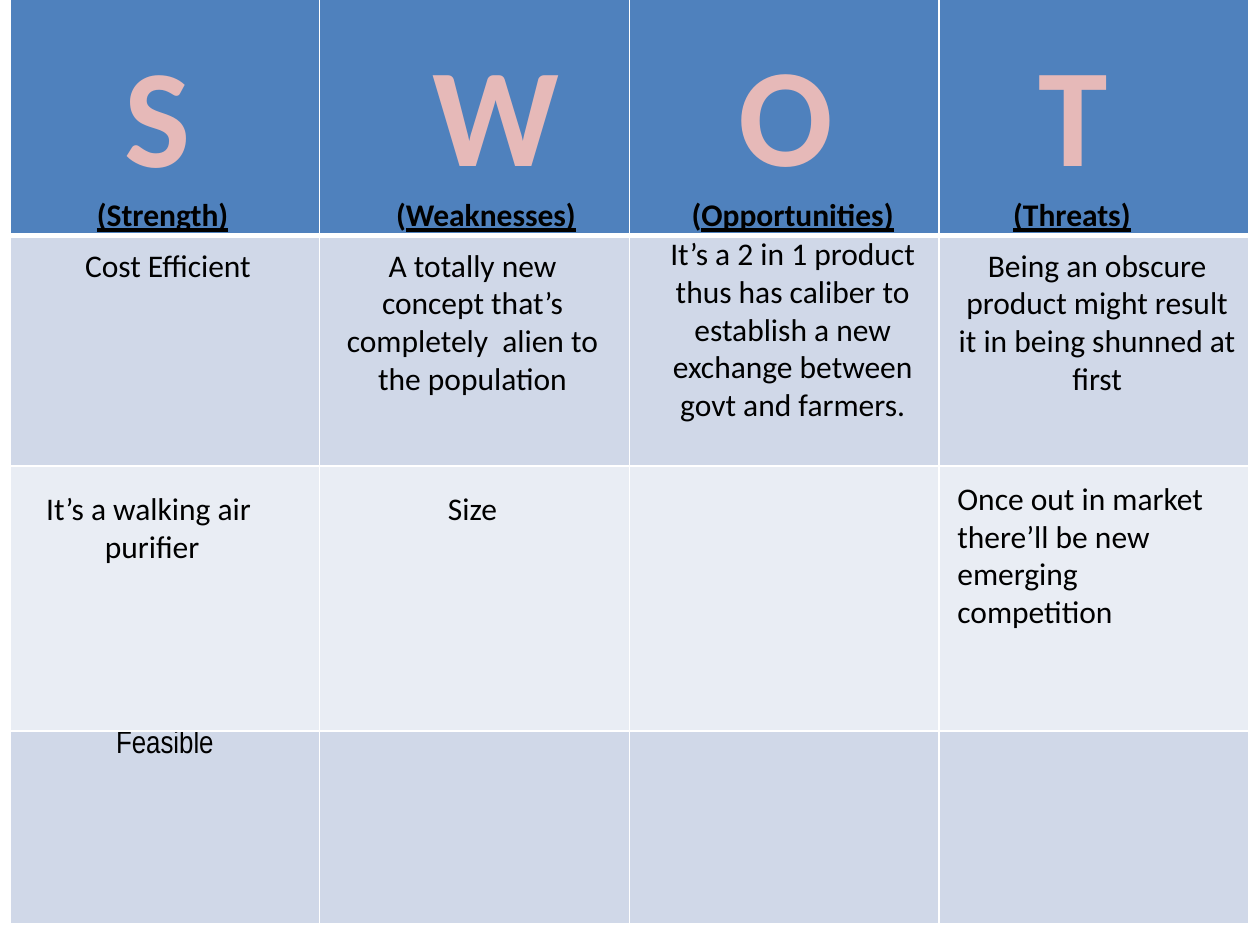
import dataclasses
import typing

import pptx
import pptx.dml.color
import pptx.enum.text
import pptx.oxml
import pptx.oxml.ns
import pptx.util

Align = pptx.enum.text.PP_ALIGN
UNIT = 1 / 12  # grid step in inches: 120 columns by 90 rows


@dataclasses.dataclass(frozen=True)
class Theme:
    head: str = "4F81BD"
    bands: tuple[str, ...] = ("D0D8E8", "E9EDF4")
    rule: str = "FFFFFF"
    ink: str = "000000"
    pink: str = "E6B9B8"
    edge: str = "C0504D"
    font: str = "Calibri"
    slim: str = "Arial Narrow"
    body: int = 18
    big: int = 80


THEME = Theme()


class Run(typing.NamedTuple):
    text: str
    bold: bool = False
    under: bool = False
    big: bool = False
    font: str = THEME.font


class Box(typing.NamedTuple):
    """Place in grid columns and rows, with one list of runs per line."""
    col: float
    row: float
    wide: float
    high: float
    lines: list[list[Run]]
    align: Align = Align.CENTER
    wrap: bool = True


def grid(steps: float) -> int:
    return pptx.util.Inches(steps * UNIT)


def rgb(code: str) -> pptx.dml.color.RGBColor:
    return pptx.dml.color.RGBColor.from_string(code)


def line_xml(tag: str, color: str, width: float):
    return pptx.oxml.parse_xml(
        f'<a:{tag} {pptx.oxml.ns.nsdecls("a")} w="{pptx.util.Pt(width)}">'
        f'<a:solidFill><a:srgbClr val="{color}"/></a:solidFill></a:{tag}>')


def add_run(para, item: Run) -> None:
    run = para.add_run()
    run.text = item.text
    font = run.font
    font.name = item.font
    font.size = pptx.util.Pt(THEME.big if item.big else THEME.body)
    font.bold, font.underline = item.bold, item.under
    font.color.rgb = rgb(THEME.pink if item.big else THEME.ink)
    if item.big:
        run._r.get_or_add_rPr().insert(0, line_xml("ln", THEME.edge, 1.75))


def add_box(slide, box: Box) -> None:
    shape = slide.shapes.add_textbox(
        grid(box.col), grid(box.row), grid(box.wide), grid(box.high))
    frame = shape.text_frame
    frame.word_wrap = box.wrap
    frame.auto_size = pptx.enum.text.MSO_AUTO_SIZE.SHAPE_TO_FIT_TEXT
    for i, line in enumerate(box.lines):
        para = frame.add_paragraph() if i else frame.paragraphs[0]
        para.alignment = box.align
        for item in line:
            add_run(para, item)


def add_grid(slide) -> None:
    rows = (1.88, 1.83, 2.1, 1.53)
    inch = pptx.util.Inches
    table = slide.shapes.add_table(
        len(rows), 4, inch(0.08), inch(-0.01), inch(9.83), inch(sum(rows))).table
    for r, high in enumerate(rows):
        table.rows[r].height = inch(high)
        for cell in table.rows[r].cells:
            props = cell._tc.get_or_add_tcPr()
            for side in ("lnL", "lnR", "lnT", "lnB"):
                thick = (r, side) in ((0, "lnB"), (1, "lnT"))
                props.append(line_xml(side, THEME.rule, 3 if thick else 1))
            cell.fill.solid()
            cell.fill.fore_color.rgb = rgb(
                THEME.bands[(r - 1) % 2] if r else THEME.head)
    cell = table.cell(3, 0)
    cell.margin_top = 0
    para = cell.text_frame.paragraphs[0]
    para.alignment = Align.CENTER
    add_run(para, Run("Feasible", font=THEME.slim))


def letter(text: str, col: float, row: float, wide: float, wrap: bool) -> Box:
    return Box(col, row, wide, 17.4, [[Run(text, bold=True, big=True)]], wrap=wrap)


def title(col: float, wide: float, *runs: Run) -> Box:
    return Box(col, 18, wide, 4.8, [list(runs)])


def note(col: float, row: float, wide: float, high: float, *lines: str,
         align: Align = Align.CENTER) -> Box:
    return Box(col, row, wide, high, [[Run(text)] for text in lines], align)


OPEN = Run("(", bold=True)
BOXES = [
    letter("S", 10, 2, 10, True),
    letter("W", 40, 1.9, 13, True),
    letter("O", 69.1, 1.9, 11.5, False),
    letter("T", 97.7, 1.9, 9.1, False),
    title(1, 29, Run("(Strength)", True, True)),
    title(31.3, 30, OPEN, Run("Weaknesses)", True, True)),
    title(61, 29, OPEN, Run("Opportunities)", True, True)),
    title(93.1, 18, Run("(Threats)", True, True)),
    note(1, 22.8, 30, 4.8, "Cost Efficient"),
    note(31, 22.8, 28, 15.7,
         "A totally new concept that’s completely  alien to the population"),
    note(61, 21.7, 29, 19.4, "It’s a 2 in 1 product thus has caliber to "
         "establish a new exchange between govt and farmers."),
    note(90, 22.8, 29, 19.4,
         "Being an obscure product might result it in being shunned at first"),
    note(90, 45, 28, 15.7,
         "Once out in market there’ll be new emerging competition",
         align=Align.LEFT),
    note(33, 46, 24, 4.8, "Size"),
    note(2, 46, 25, 8.5, "It’s a walking air ", "purifier"),
]


def main() -> None:
    deck = pptx.Presentation()
    deck.slide_width, deck.slide_height = grid(120), grid(90)
    slide = deck.slides.add_slide(deck.slide_layouts[6])
    add_grid(slide)
    for box in BOXES:
        add_box(slide, box)
    deck.save("out.pptx")


if __name__ == "__main__":
    main()
